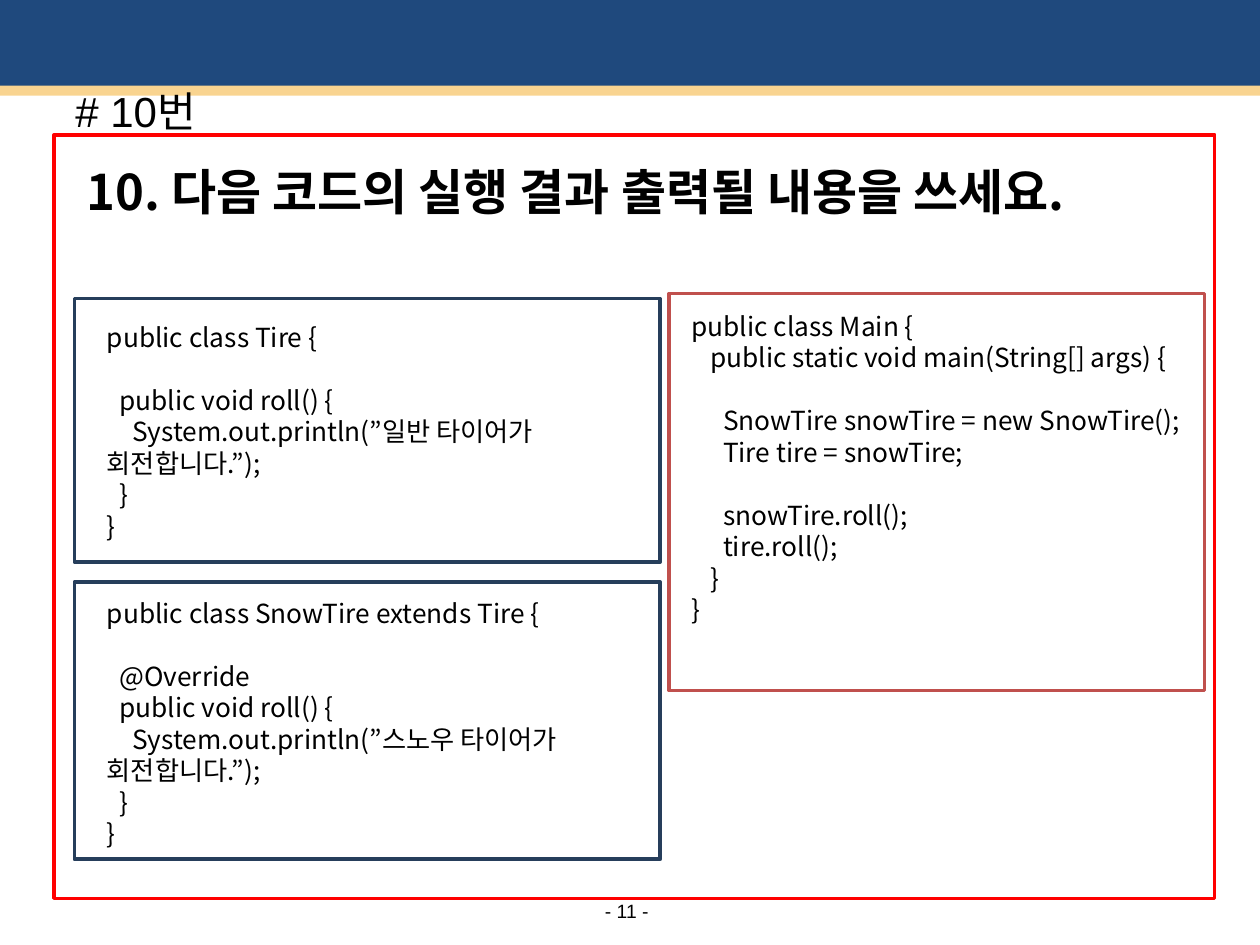
from pptx import Presentation
from pptx.dml.color import RGBColor
from pptx.enum.shapes import MSO_SHAPE
from pptx.enum.text import MSO_ANCHOR, PP_ALIGN
from pptx.util import Inches, Pt

CODE_FONT = "Noto Sans CJK KR"
CODE_LINE = Pt(18)
SPACE_WIDTH = 0.05

TIRE_CODE = """public class Tire {

  public void roll() {
    System.out.println(”일반 타이어가 회전합니다.”);
  }
}"""

SNOW_TIRE_CODE = """public class SnowTire extends Tire {

  @Override
  public void roll() {
    System.out.println(”스노우 타이어가 회전합니다.”);
  }
}"""

MAIN_CODE = """public class Main {
   public static void main(String[] args) {

     SnowTire snowTire = new SnowTire();
     Tire tire = snowTire;

     snowTire.roll();
     tire.roll();
   }
}"""


def color(value):
    return RGBColor.from_string(value)


def add_bar(slide, top, height, fill):
    shape = slide.shapes.add_shape(
        MSO_SHAPE.RECTANGLE, 0, Inches(top), Inches(10), Inches(height))
    shape.shadow.inherit = False
    shape.fill.solid()
    shape.fill.fore_color.rgb = color(fill)
    shape.line.fill.background()


def add_frame(slide, left, top, width, height, line, kind=MSO_SHAPE.RECTANGLE):
    shape = slide.shapes.add_shape(
        kind, Inches(left), Inches(top), Inches(width), Inches(height))
    shape.shadow.inherit = False
    shape.fill.background()
    shape.line.color.rgb = color(line)
    shape.line.width = Pt(2)


def add_text_box(slide, left, top, width, height):
    text_frame = slide.shapes.add_textbox(
        Inches(left), Inches(top), Inches(width), Inches(height)).text_frame
    text_frame.word_wrap = True
    return text_frame


def format_runs(paragraph, size, font, bold=False):
    for run in paragraph.runs:
        run.font.size = Pt(size)
        run.font.name = font
        run.font.bold = bold
        run.font.color.rgb = color("000000")
        properties = run._r.get_or_add_rPr()
        east_asian = properties.makeelement(
            properties.tag.replace("rPr", "ea"), {"typeface": CODE_FONT})
        properties.find(properties.tag.replace("rPr", "latin")).addnext(east_asian)


def add_label(slide, left, top, width, height, text, size, font, bold=False):
    text_frame = add_text_box(slide, left, top, width, height)
    text_frame.text = text
    format_runs(text_frame.paragraphs[0], size, font, bold)


def add_page_number(slide, text):
    text_frame = add_text_box(slide, 4.76, 7.13, 0.43, 0.19)
    text_frame.word_wrap = False
    text_frame.vertical_anchor = MSO_ANCHOR.MIDDLE
    text_frame.margin_left = text_frame.margin_right = 0
    text_frame.margin_top = text_frame.margin_bottom = 0
    text_frame.text = text
    text_frame.paragraphs[0].alignment = PP_ALIGN.CENTER
    format_runs(text_frame.paragraphs[0], 11, "Arial")


def add_code(slide, left, top, width, height, code):
    text_frame = add_text_box(slide, left, top, width, height)
    paragraph = text_frame.paragraphs[0]
    after_gap = False
    for index, line in enumerate(code.splitlines()):
        if not line:
            after_gap = True
            continue
        if index:
            paragraph = text_frame.add_paragraph()
        statement = line.lstrip()
        paragraph.text = statement
        paragraph.line_spacing = CODE_LINE
        paragraph.space_before = CODE_LINE if after_gap else Pt(0)
        indent = Inches((len(line) - len(statement)) * SPACE_WIDTH)
        properties = paragraph._p.get_or_add_pPr()
        properties.set("marL", "0")
        properties.set("indent", str(indent))
        format_runs(paragraph, 15, CODE_FONT)
        after_gap = False


def main():
    presentation = Presentation()
    presentation.slide_width = Inches(10)
    presentation.slide_height = Inches(7.5)
    slide = presentation.slides.add_slide(presentation.slide_layouts[6])

    add_bar(slide, -0.03, 0.76, "1F497D")
    add_page_number(slide, "- 11 -")
    add_bar(slide, 0.68, 0.08, "F9D490")
    add_label(slide, 0.5, 0.63, 7.81, 0.57, "# 10번", 24, "Arial")
    add_label(slide, 0.59, 1.23, 8.74, 0.56,
              "10. 다음 코드의 실행 결과 출력될 내용을 쓰세요.", 28, CODE_FONT, True)
    add_frame(slide, 0.43, 1.07, 9.21, 6.06, "FF0000", MSO_SHAPE.FLOWCHART_PROCESS)

    add_code(slide, 0.75, 2.5, 4.41, 1.84, TIRE_CODE)
    add_code(slide, 0.75, 4.69, 4.61, 2.09, SNOW_TIRE_CODE)
    add_frame(slide, 0.59, 4.62, 4.65, 2.2, "263E5B")
    add_frame(slide, 0.59, 2.37, 4.65, 2.09, "263E5B")
    add_code(slide, 5.39, 2.41, 4.61, 2.59, MAIN_CODE)
    add_frame(slide, 5.31, 2.33, 4.25, 3.15, "C0504D")

    presentation.save("out.pptx")


if __name__ == "__main__":
    main()
